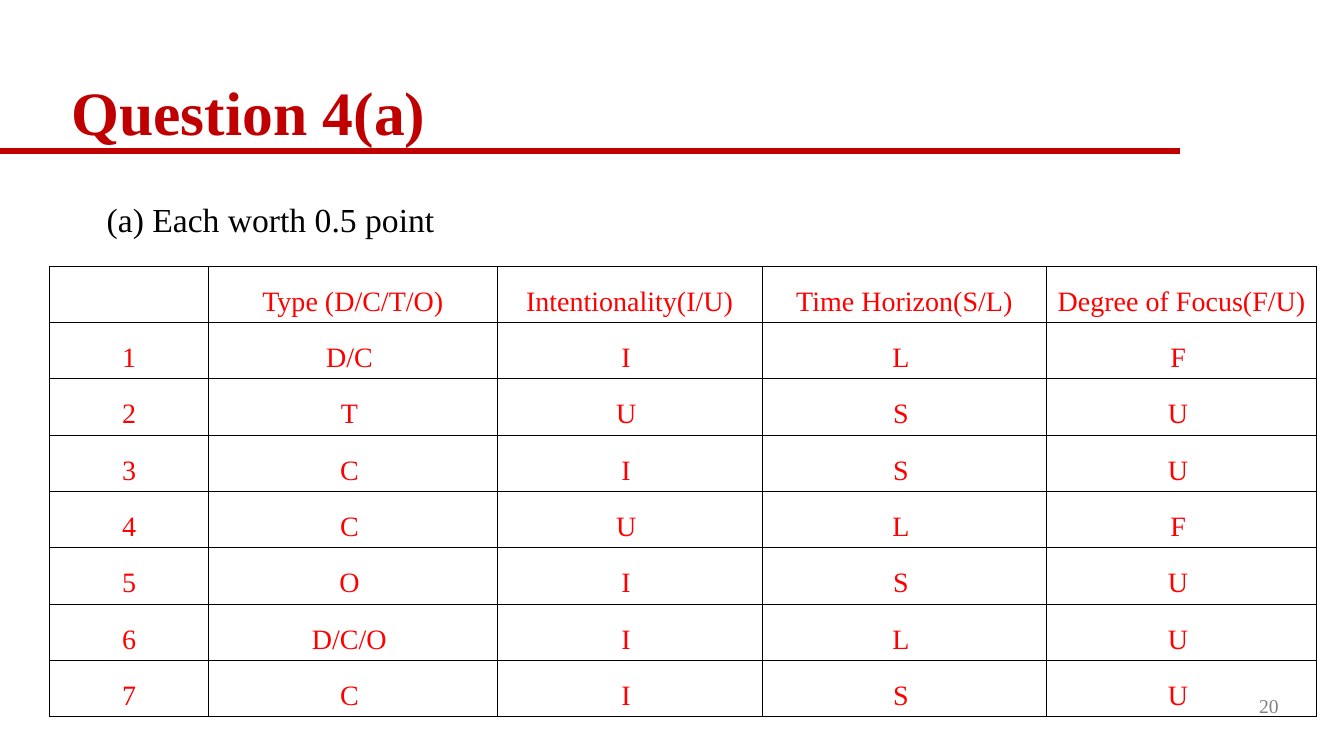
from dataclasses import dataclass

from lxml import etree
from pptx import Presentation
from pptx import util as u
from pptx.dml.color import RGBColor
from pptx.enum import shapes, text
from pptx.oxml.ns import qn


@dataclass(frozen=True)
class Theme:
    font: str = "Times New Roman"
    accent: str = "C00000"
    answer: str = "FF0000"
    ink: str = "000000"
    muted: str = "808080"
    title_size: int = 44
    body_size: int = 24
    table_size: int = 20
    number_size: int = 14
    rule_width: float = 4
    border_width: float = 0.5


THEME = Theme()
NBSP = chr(160)

HEADERS = ["", "Type (D/C/T/O)", "Intentionality(I/U)", "Time Horizon(S/L)",
           "Degree of Focus(F/U)"]
ANSWERS = [
    ("D/C", "I", "L", "F"),
    ("T", "U", "S", "U"),
    ("C", "I", "S", "U"),
    ("C", "U", "L", "F"),
    ("O", "I", "S", "U"),
    ("D/C/O", "I", "L", "U"),
    ("C", "I", "S", "U"),
]
COLUMN_WIDTHS = [1.58, 2.86, 2.63, 2.82, 2.68]


def add_run(p, wording, size, color, bold=False):
    r = p.add_run()
    r.text = wording
    r.font.name = THEME.font
    r.font.size = u.Pt(size)
    r.font.bold = bold
    r.font.color.rgb = RGBColor.from_string(color)


def add_text(s, box, wording, size, color, bold=False, anchor=text.MSO_ANCHOR.TOP,
             align=text.PP_ALIGN.LEFT):
    """Add a one-paragraph text box and return the paragraph."""
    tf = s.shapes.add_textbox(*map(u.Inches, box)).text_frame
    tf.word_wrap = True
    tf.vertical_anchor = anchor
    p = tf.paragraphs[0]
    p.alignment = align
    add_run(p, wording, size, color, bold)
    return p


def add_title(s, box, wording):
    """Place the title on a rule that runs from the slide's left edge."""
    left, top, width, height = box
    rule_y = top + height - 0.03
    rule = s.shapes.add_connector(shapes.MSO_CONNECTOR.STRAIGHT, 0, u.Inches(rule_y),
                                  u.Inches(11.7), u.Inches(rule_y))
    rule.line.color.rgb = RGBColor.from_string(THEME.accent)
    rule.line.width = u.Pt(THEME.rule_width)
    etree.SubElement(rule._element.spPr, qn("a:effectLst"))
    p = add_text(s, box, wording, THEME.title_size, THEME.accent, bold=True,
                 anchor=text.MSO_ANCHOR.BOTTOM)
    p.line_spacing = 0.9


def set_borders(cell):
    tcPr = cell._tc.get_or_add_tcPr()
    for index, side in enumerate(("lnL", "lnR", "lnT", "lnB")):
        ln = etree.Element(qn(f"a:{side}"), w=str(u.Pt(THEME.border_width)))
        fill = etree.SubElement(ln, qn("a:solidFill"))
        etree.SubElement(fill, qn("a:srgbClr"), val=THEME.ink)
        tcPr.insert(index, ln)


def fill_cell(cell, wording):
    cell.fill.background()
    set_borders(cell)
    cell.vertical_anchor = text.MSO_ANCHOR.BOTTOM
    cell.margin_left = cell.margin_right = cell.margin_top = u.Inches(0.01)
    cell.margin_bottom = u.Inches(0.05)
    if wording:
        p = cell.text_frame.paragraphs[0]
        p.alignment = text.PP_ALIGN.CENTER
        add_run(p, wording, THEME.table_size, THEME.answer)


def add_answer_table(s, box):
    rows = [HEADERS] + [[str(number)] + [answer + NBSP for answer in answers]
                        for number, answers in enumerate(ANSWERS, 1)]
    frame = s.shapes.add_table(len(rows), len(HEADERS), *map(u.Inches, box))
    table = frame.table
    table.first_row = table.horz_banding = False
    for column, width in zip(table.columns, COLUMN_WIDTHS):
        column.width = u.Inches(width)
    for row, wordings in zip(table.rows, rows):
        for cell, wording in zip(row.cells, wordings):
            fill_cell(cell, wording)


def build_question_slide(prs):
    s = prs.slides.add_slide(prs.slide_layouts[6])
    add_title(s, (0.61, 0.8, 12.17, 0.73), "Question 4(a)")
    add_text(s, (10, 6.75, 2.78, 0.5), "20", THEME.number_size, THEME.muted,
             anchor=text.MSO_ANCHOR.MIDDLE, align=text.PP_ALIGN.RIGHT)
    add_text(s, (0.96, 1.92, 5.52, 0.91), "(a) Each worth 0.5 point",
             THEME.body_size, THEME.ink)
    add_answer_table(s, (0.49, 2.64, sum(COLUMN_WIDTHS), 4.47))


def main():
    prs = Presentation()
    prs.slide_width = u.Inches(13.33)
    prs.slide_height = u.Inches(7.5)
    build_question_slide(prs)
    prs.save("out.pptx")


if __name__ == "__main__":
    main()
